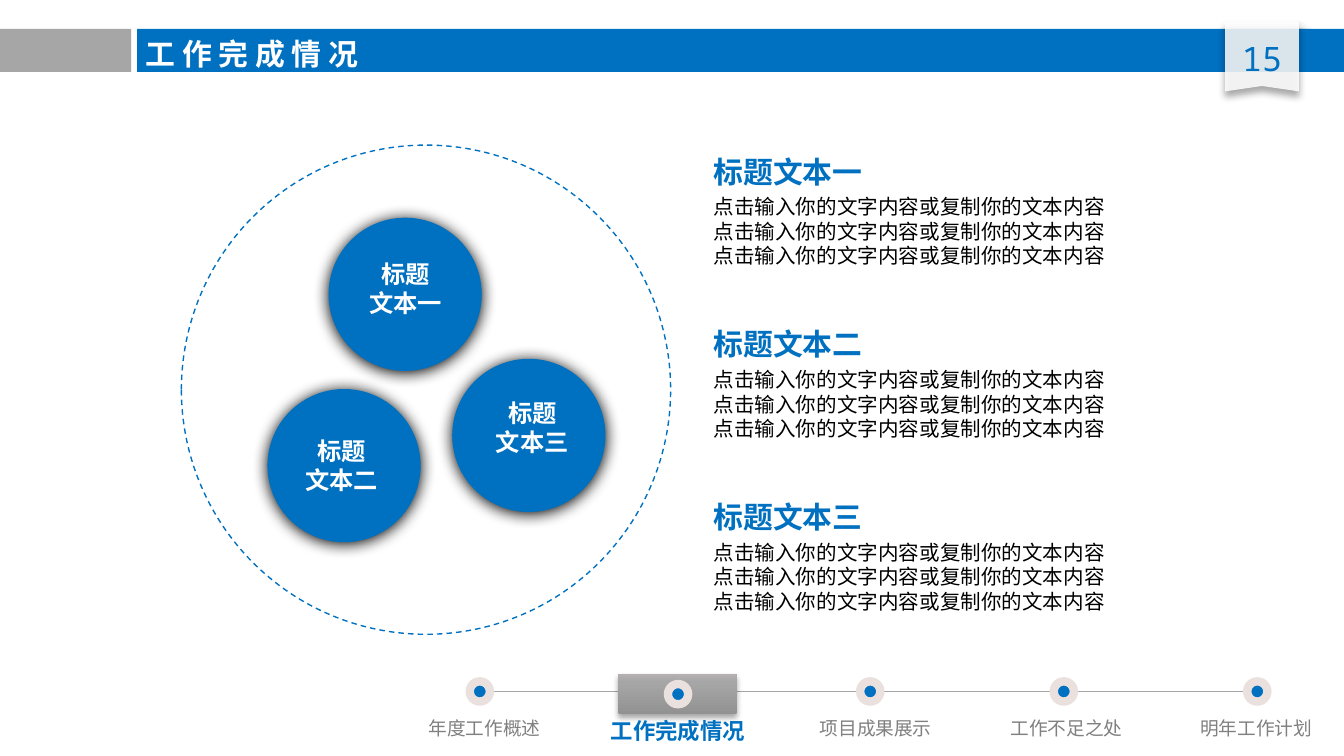
from lxml.etree import SubElement
from pptx import Presentation
from pptx.dml.color import RGBColor
from pptx.enum.dml import MSO_LINE
from pptx.enum.shapes import MSO_CONNECTOR, MSO_SHAPE
from pptx.enum.text import PP_ALIGN
from pptx.oxml import parse_xml
from pptx.oxml.ns import nsdecls, qn
from pptx.util import Pt

PX = 4572  # 200 px to the inch
BLUE = RGBColor(0x00, 0x70, 0xC0)
WHITE = RGBColor(0xFF, 0xFF, 0xFF)
BLACK = RGBColor(0x00, 0x00, 0x00)
PALE = RGBColor(0xF8, 0xF8, 0xF8)
SILVER = RGBColor(0xA6, 0xA6, 0xA6)
GREY = RGBColor(0x80, 0x80, 0x80)
RING = RGBColor(0xEA, 0xE0, 0xDE)
SANS = "Noto Sans CJK SC"

deck = Presentation()
deck.slide_width = 2000 * PX
deck.slide_height = 1125 * PX
slide = deck.slides.add_slide(deck.slide_layouts[6])
shapes = slide.shapes


def style(shape, fill=None, alpha=100, shadow=None):
    """Set a borderless fill and a downward shadow of (opacity %, blur pt, distance pt)."""
    shape.shadow.inherit = False
    shape.line.fill.background()
    if fill is None:
        shape.fill.background()
    else:
        shape.fill.solid()
        shape.fill.fore_color.rgb = fill
    if alpha < 100:
        color = shape.fill._xPr.find(qn("a:solidFill"))[0]
        SubElement(color, qn("a:alpha"), val=str(alpha * 1000))
    if shadow:
        dark, blur, drop = shadow
        effects = shape._element.spPr.find(qn("a:effectLst"))
        outer = SubElement(effects, qn("a:outerShdw"), blurRad=str(Pt(blur)),
                           dist=str(Pt(drop)), dir="5400000", algn="ctr", rotWithShape="0")
        color = SubElement(outer, qn("a:srgbClr"), val="000000")
        SubElement(color, qn("a:alpha"), val=str(dark * 1000))
    return shape


def write(box, lines, size, color, bold=False, center=False, wrap=True,
          font=SANS, inset=(14, 7)):
    left, top, width, height = (n * PX for n in box)
    frame = shapes.add_textbox(left, top, width, height).text_frame
    frame.word_wrap = wrap
    frame.margin_left = frame.margin_right = inset[0] * PX
    frame.margin_top = frame.margin_bottom = inset[1] * PX
    frame.text = "\n".join(lines)
    for para in frame.paragraphs:
        para.alignment = PP_ALIGN.CENTER if center else PP_ALIGN.LEFT
        para.font.size = Pt(size)
        para.font.bold = bold
        para.font.color.rgb = color
        para.font.name = font
        SubElement(para._p.pPr.find(qn("a:defRPr")), qn("a:ea"), typeface=SANS)


# Header
fold = shapes.add_shape(MSO_SHAPE.RIGHT_TRIANGLE, 1932 * PX, 30 * PX, 18 * PX, 12 * PX)
style(fold, PALE, 85, (40, 4, 3))
for left, width, color in [(0, 195, SILVER), (204, 1796, BLUE)]:
    style(shapes.add_shape(MSO_SHAPE.RECTANGLE, left * PX, 43 * PX, width * PX, 64 * PX), color)

path = shapes.build_freeform(1823, 136, scale=PX)
path.add_line_segments([(1823, 32), (1933, 32), (1933, 136), (1878, 128)])
style(path.convert_to_shape(), WHITE, 85, (40, 4, 3))
write((1823, 49, 110, 76), ["15"], 18, BLUE, center=True, font="Noto Sans Mono")
write((197, 43, 456, 74), ["工 作 完 成 情 况"], 16, WHITE, bold=True,
      font="Calibri", inset=(20, 10))

# Progress bar
track = shapes.add_connector(MSO_CONNECTOR.STRAIGHT, 722 * PX, 1029 * PX, 1868 * PX, 1029 * PX)
track.line.color.rgb = SILVER
track.line.width = Pt(1)
SubElement(track._element.spPr, qn("a:effectLst"))

STEPS = [("年度工作概述", 699, 622), ("工作完成情况", 994, 893), ("项目成果展示", 1280, 1204),
         ("工作不足之处", 1568, 1488), ("明年工作计划", 1856, 1770)]
ACTIVE = 1
for i, (label, dot_x, text_x) in enumerate(STEPS):
    now = i == ACTIVE
    if now:
        tab = shapes.add_shape(MSO_SHAPE.ROUNDED_RECTANGLE, 920 * PX, 1003 * PX, 177 * PX, 60 * PX)
        tab.adjustments[0] = 0.05
        style(tab, SILVER, shadow=(35, 3.1, 1.8))
        stops = "".join(f'<a:gs pos="{pos * 1000}"><a:srgbClr val="{rgb}"/></a:gs>'
                        for pos, rgb in [(0, "939292"), (80, "A6A6A7"), (100, "B6B0B2")])
        solid = tab._element.spPr.find(qn("a:solidFill"))
        solid.getparent().replace(solid, parse_xml(
            f'<a:gradFill {nsdecls("a")} rotWithShape="1"><a:gsLst>{stops}</a:gsLst>'
            '<a:lin ang="16200000" scaled="0"/></a:gradFill>'))
    dot_y = 1018 if now else 1014
    dot = style(shapes.add_shape(MSO_SHAPE.OVAL, dot_x * PX, dot_y * PX, 30 * PX, 30 * PX), BLUE)
    dot.line.color.rgb = RING
    dot.line.width = Pt(4.5)
    write((text_x, 1060, 232 if now else 198, 56 if now else 48), [label],
          12 if now else 10, BLUE if now else GREY, bold=now, center=True, wrap=False)

# Circles
orbit = style(shapes.add_shape(MSO_SHAPE.OVAL, 270 * PX, 216 * PX, 728 * PX, 728 * PX))
orbit.line.color.rgb = BLUE
orbit.line.width = Pt(0.75)
orbit.line.dash_style = MSO_LINE.DASH

BALLS = [("二", 398, 579, 433, 642), ("三", 673, 534, 717, 585), ("一", 489, 324, 529, 379)]
for mark, left, top, text_x, text_y in BALLS:
    ball = shapes.add_shape(MSO_SHAPE.OVAL, left * PX, top * PX, 228 * PX, 228 * PX)
    style(ball, BLUE, shadow=(100, 8.5, 1))
    write((text_x, text_y, 150, 106), ["标题", "文本" + mark], 13, WHITE, bold=True, center=True)

# Text blocks
for i, mark in enumerate("一二三"):
    top = 221 + 257 * i
    write((1048, top, 254, 68), ["标题文本" + mark], 16, BLUE, bold=True, wrap=False)
    write((1048, top + 61, 692, 126), ["点击输入你的文字内容或复制你的文本内容"] * 3, 11, BLACK)

deck.save("out.pptx")
